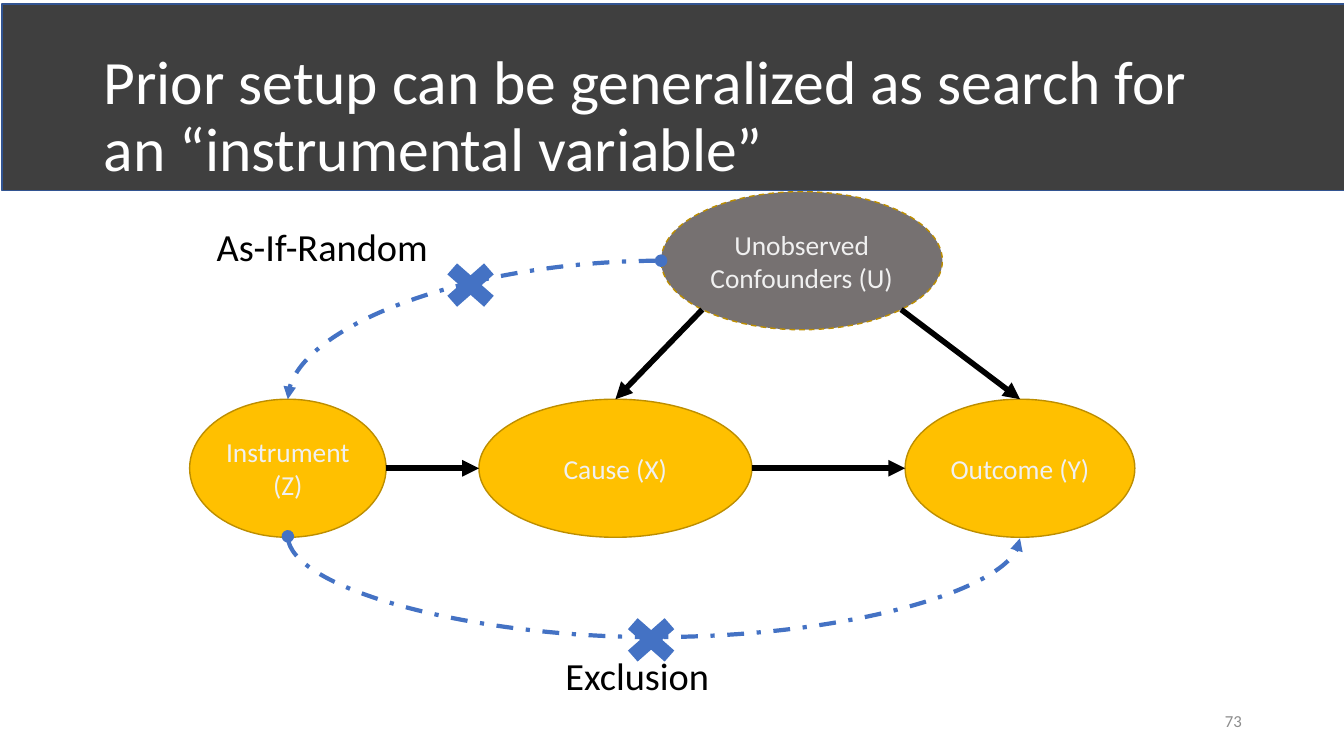
from dataclasses import dataclass
from math import sqrt
from pptx import Presentation
from pptx.dml.color import RGBColor
from pptx.enum import dml, shapes, text
from pptx.oxml import ns, xmlchemy
from pptx.util import Cm, Pt


@dataclass
class Theme:
    font: str = "Calibri"
    white: str = "FFFFFF"
    pale: str = "F0F0F0"
    black: str = "000000"
    dark: str = "3F3F3F"
    navy: str = "325491"
    gold: str = "FFC000"
    rim: str = "BD8E00"
    gray: str = "767171"
    blue: str = "4472C4"
    faint: str = "8C8C8C"
    title: float = 44
    label: float = 27.4
    node: float = 19.6
    small: float = 12


theme = Theme()
rgb = RGBColor.from_string
kind = shapes.MSO_SHAPE
align = text.PP_ALIGN
dash = dml.MSO_LINE


def write(shape, words, size, color, side=align.LEFT, mid=True):
    frame = shape.text_frame
    frame.word_wrap = True
    frame.vertical_anchor = text.MSO_ANCHOR.MIDDLE if mid else text.MSO_ANCHOR.TOP
    frame.text = words
    para = frame.paragraphs[0]
    para.alignment = side
    font = para.runs[0].font
    font.name, font.size = theme.font, Pt(size)
    font.color.rgb = rgb(color)
    return para


def link(start, end, curve=False):
    form = shapes.MSO_CONNECTOR.CURVE if curve else shapes.MSO_CONNECTOR.STRAIGHT
    wire = slide.shapes.add_connector(form, *map(Cm, start + end))
    wire.line.color.rgb = rgb(theme.blue if curve else theme.black)
    wire.line.width = Pt(3 if curve else 4)
    ends = [("a:tailEnd", "triangle")]
    if curve:
        wire.line.dash_style = dash.DASH_DOT
        ends.insert(0, ("a:headEnd", "oval"))
    stroke = wire.line._get_or_add_ln()
    for tag, tip in ends:
        mark = xmlchemy.OxmlElement(tag)
        mark.set("type", tip)
        stroke.append(mark)
    props = wire._element.spPr
    props.append(xmlchemy.OxmlElement("a:effectLst"))
    return props


deck = Presentation()
deck.slide_width, deck.slide_height = Cm(33.87), Cm(19.05)
slide = deck.slides.add_slide(deck.slide_layouts[6])

page = slide.shapes.add_textbox(Cm(23.93), Cm(17.65), Cm(7.62), Cm(1.02))
write(page, "73", theme.small, theme.faint, align.RIGHT)

tall = 3.48
row = 10.06
high = 4.83
nodes = {
    "Instrument (Z)": (4.78, row, 4.95),
    "Cause (X)": (12.07, row, 6.88),
    "Outcome (Y)": (22.81, row, 5.79),
    "Unobserved Confounders (U)": (16.66, high, 7.09),
}
for name, (left, top, wide) in nodes.items():
    oval = slide.shapes.add_shape(kind.OVAL, Cm(left), Cm(top), Cm(wide), Cm(tall))
    oval.shadow.inherit = False
    oval.fill.solid()
    oval.fill.fore_color.rgb = rgb(theme.gray if top == high else theme.gold)
    oval.line.color.rgb = rgb(theme.rim)
    oval.line.width = Pt(1)
    if top == high:
        oval.line.dash_style = dash.DASH
    write(oval, name, theme.node, theme.pale, align.CENTER)
    oval.text_frame.margin_left = oval.text_frame.margin_right = 0

tool, cause, result, hidden = nodes.values()
tops = [left + wide / 2 for left, _, wide in nodes.values()]
axis = row + tall / 2
for one, two in ((tool, cause), (cause, result)):
    link((one[0] + one[2], axis), (two[0], axis))

low = high + tall / 2 * (1 + sqrt(0.5))
for sign, goal in ((-1, tops[1]), (1, tops[2])):
    edge = tops[3] + sign * hidden[2] / 2 * sqrt(0.5)
    link((edge, low), (goal, row))

bend = link((hidden[0], high + tall / 2), (tops[0], row), True)
bend.find(ns.qn("a:prstGeom")).set("prst", "curvedConnector2")

thin = 0.05
drop = 2.54
span = tops[2] - tops[0]
mid = (tops[0] + tops[2]) / 2
base = row + tall
arc = link((mid - thin / 2, base - span / 2), (mid + thin / 2, base + span / 2), True)
frame = arc.find(ns.qn("a:xfrm"))
frame.set("rot", "16200000")
frame.set("flipH", "1")
guide = xmlchemy.OxmlElement("a:gd")
guide.set("name", "adj1")
guide.set("fmla", f"val {round(drop / thin * 100000)}")
arc.find(ns.qn("a:prstGeom")).get_or_add_avLst().append(guide)

for words, left, top, wide in (("As-If-Random", 5.21, 5.49, 7.26), ("Exclusion", 14, 16.31, 5.99)):
    label = slide.shapes.add_textbox(Cm(left), Cm(top), Cm(wide), Cm(1.42))
    write(label, words, theme.label, theme.black, mid=False)

for left, top in ((10.97, 6.4), (15.52, 15.34)):
    cross = slide.shapes.add_shape(kind.MATH_MULTIPLY, Cm(left), Cm(top), Cm(1.78), Cm(1.57))
    cross.shadow.inherit = False
    cross.fill.solid()
    cross.fill.fore_color.rgb = rgb(theme.blue)
    cross.line.fill.background()

band = slide.shapes.add_shape(kind.RECTANGLE, Cm(0.05), Cm(0.1), Cm(33.87), Cm(4.7))
band.shadow.inherit = False
band.fill.solid()
band.fill.fore_color.rgb = rgb(theme.dark)
band.line.color.rgb = rgb(theme.navy)
band.line.width = Pt(1)

title = slide.shapes.add_textbox(Cm(2.36), Cm(1.14), Cm(29.21), Cm(3.68))
head = write(title, "Prior setup can be generalized as search for an “instrumental variable”", theme.title, theme.white)
head.line_spacing = 0.9

deck.save("out.pptx")
